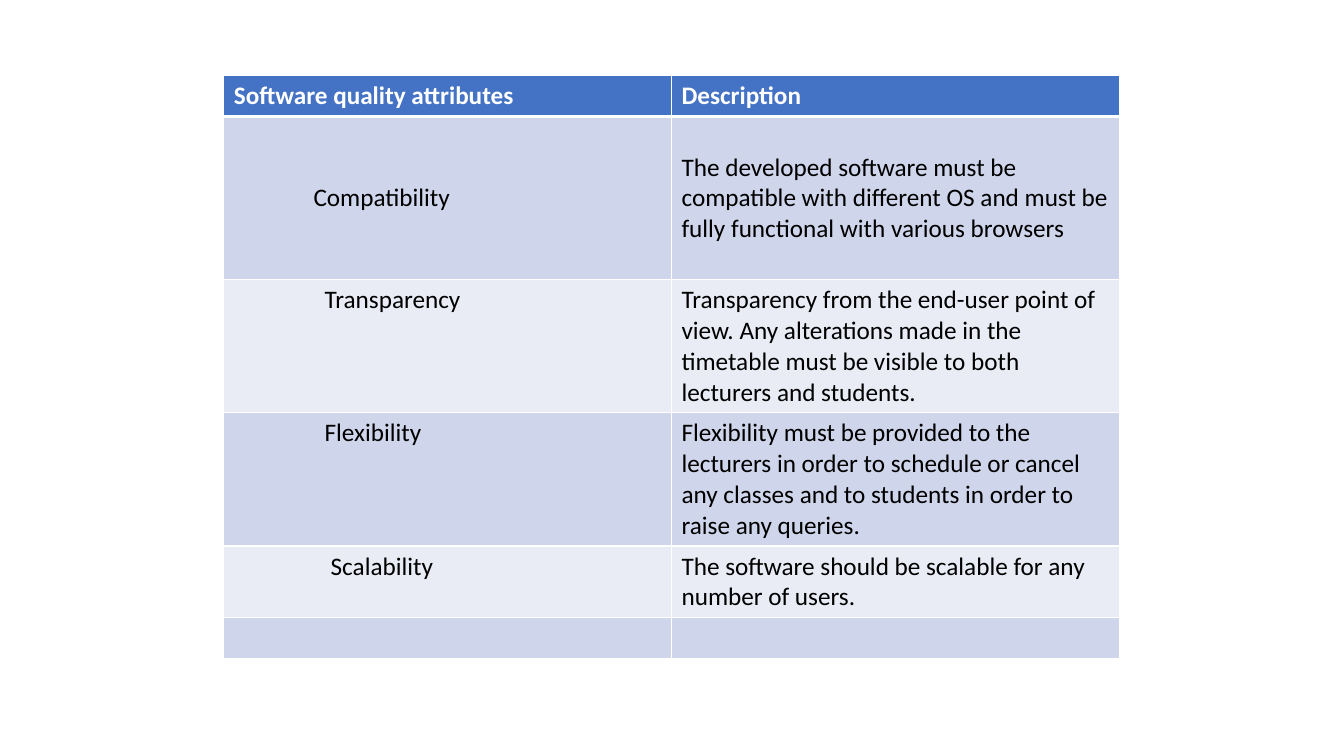
"""Build a slide with a table of software quality attributes."""
from lxml.etree import SubElement
from pptx import Presentation
from pptx.dml.color import RGBColor
from pptx.enum.text import MSO_ANCHOR
from pptx.oxml.ns import qn
from pptx.util import Inches, Pt

COLORS = {"header": "4472C4", "dark": "CFD5EA", "light": "E9EBF5",
          "white": "FFFFFF", "black": "000000"}
ROWS = [
    (0.4, 0, "Software quality attributes", "Description"),
    (1.62, 0.79, "Compatibility",
     "The developed software must be compatible with different OS "
     "and must be fully functional with various browsers"),
    (1.32, 0.9, "Transparency",
     "Transparency from the end-user point of view. Any alterations made "
     "in the timetable must be visible to both lecturers and students."),
    (1.32, 0.9, "Flexibility",
     "Flexibility must be provided to the lecturers in order to schedule or "
     "cancel any classes and to students in order to raise any queries."),
    (0.71, 0.96, "Scalability",
     "The software should be scalable for any number of users."),
    (0.4, 0, "", ""),
]


def add_borders(cell, widths):
    properties = cell._tc.get_or_add_tcPr()
    for side, width in widths.items():
        line = SubElement(properties, qn(f"a:ln{side}"), w=str(Pt(width)))
        fill = SubElement(line, qn("a:solidFill"))
        SubElement(fill, qn("a:srgbClr"), val=COLORS["white"])


deck = Presentation()
deck.slide_width, deck.slide_height = Inches(13.33), Inches(7.5)
page = deck.slides.add_slide(deck.slide_layouts[6])

total_height = sum(row[0] for row in ROWS)
frame = page.shapes.add_table(len(ROWS), 2, Inches(2.22), Inches(0.75),
                              Inches(8.88), Inches(total_height))
table = frame.table
for column in table.columns:
    column.width = Inches(4.44)

for row_index, (height, indent, *texts) in enumerate(ROWS):
    table.rows[row_index].height = Inches(height)
    is_header = row_index == 0
    band = "header" if is_header else "dark" if row_index % 2 else "light"
    font_format = {"name": "Calibri", "size": Pt(18), "bold": is_header}
    borders = {"L": 1, "R": 1, "T": 3 if row_index == 1 else 1,
               "B": 3 if is_header else 1}
    for column_index, text in enumerate(texts):
        cell = table.cell(row_index, column_index)
        add_borders(cell, borders)
        cell.fill.solid()
        cell.fill.fore_color.rgb = RGBColor.from_string(COLORS[band])
        cell.margin_left = Inches(0.1 + (indent if column_index == 0 else 0))
        cell.vertical_anchor = MSO_ANCHOR.MIDDLE if row_index == 1 else MSO_ANCHOR.TOP
        if text:
            span = cell.text_frame.paragraphs[0].add_run()
            span.text = text
            for name, value in font_format.items():
                setattr(span.font, name, value)
            span.font.color.rgb = RGBColor.from_string(
                COLORS["white" if is_header else "black"])

deck.save("out.pptx")
